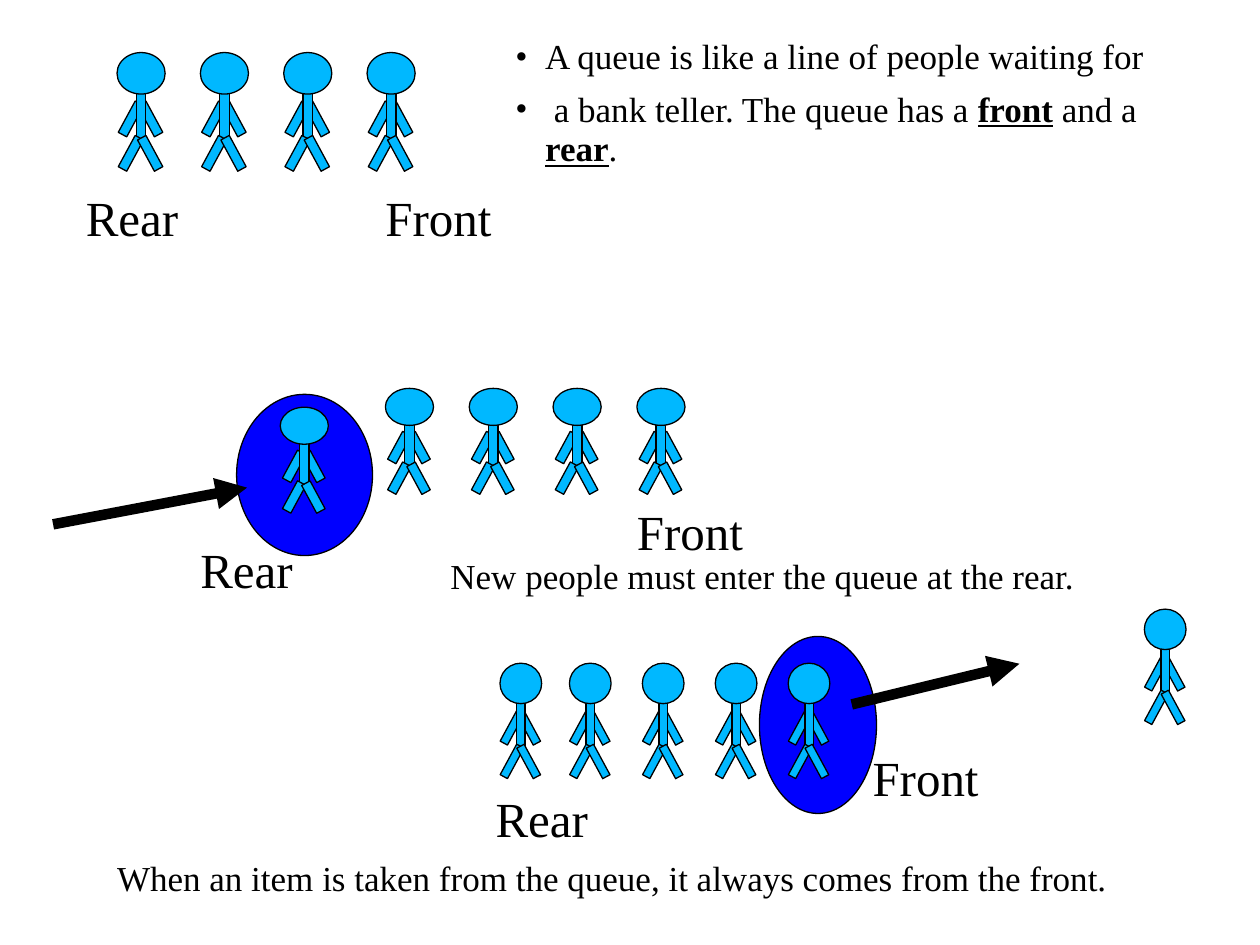
from pptx import Presentation
from pptx.dml.color import RGBColor
from pptx.enum.shapes import MSO_CONNECTOR, MSO_SHAPE
from pptx.oxml.ns import qn
from pptx.util import Cm, Pt
from lxml.etree import SubElement

FONT = "Times New Roman"
COLORS = {"person": "00B8FF", "highlight": "0000FF", "ink": "000000"}

# All lengths are in centimetres.
LABEL_SIZE = (2.7, 1.37)
SCENES = [
    {   # a waiting queue
        "person_size": (0.97, 2.39),
        "people": [(2.36 + 1.68 * i, 1.06) for i in range(4)],
        "labels": [("Front", 7.52, 3.74), ("Rear", 1.48, 3.74)],
    },
    {   # a person joins at the rear
        "highlight": (4.77, 7.95, 2.74, 3.25),
        "person_size": (0.97, 2.13),
        "people": [(7.77 + 1.69 * i, 7.83) for i in range(4)] + [(5.65, 8.21)],
        "arrow": (1.07, 10.57, 4.98, 9.83),
        "labels": [("Front", 12.59, 10.08), ("Rear", 3.79, 10.84)],
    },
    {   # a person leaves from the front
        "highlight": (15.31, 12.83, 2.36, 3.57),
        "person_size": (0.84, 2.33),
        "people": [(10.08, 13.37)] + [(11.48 + 1.47 * i, 13.37) for i in range(4)]
                  + [(23.07, 12.28)],
        "arrow": (17.17, 14.2, 20.55, 13.38),
        "labels": [("Front", 17.34, 15.03), ("Rear", 9.74, 15.86)],
    },
]

# Preset, then left, top, width, height as shares of the person, then rotation.
LEFT_LIMB, RIGHT_LIMB = 28.4, 331.6
BODY_PARTS = [
    (MSO_SHAPE.RECTANGLE, 0.19, 0.41, 0.2, 0.3, LEFT_LIMB),
    (MSO_SHAPE.RECTANGLE, 0.59, 0.41, 0.2, 0.3, RIGHT_LIMB),
    (MSO_SHAPE.RECTANGLE, 0.4, 0.29, 0.2, 0.47, 0),
    (MSO_SHAPE.OVAL, 0, 0, 1, 0.35, 0),
    (MSO_SHAPE.RECTANGLE, 0.19, 0.7, 0.2, 0.3, LEFT_LIMB),
    (MSO_SHAPE.RECTANGLE, 0.59, 0.7, 0.2, 0.3, RIGHT_LIMB),
]

# Each paragraph is a list of (text, emphasised) runs.
BULLETS = [
    [("A queue is like a line of people waiting for", False)],
    [(" a bank teller. The queue has a ", False), ("front", True),
     (" and a ", False), ("rear", True), (".", False)],
]
BULLETS_BOX = (10.14, 0.64, 14.4, 4.01)
CAPTIONS = [
    ("New people must enter the queue at the rear.", (8.83, 11.05, 13.2, 1.12)),
    ("When an item is taken from the queue, it always comes from the front.",
     (2.11, 17.15, 20.55, 1.9)),
]


def color(name):
    return RGBColor.from_string(COLORS[name])


def add_outlined(shapes, preset, box, fill, rotation=0):
    shape = shapes.add_shape(preset, *map(Cm, box))
    shape.rotation = rotation
    shape.shadow.inherit = False
    shape.fill.solid()
    shape.fill.fore_color.rgb = color(fill)
    shape.line.color.rgb = color("ink")
    shape.line.width = Pt(0.75)


def add_person(shapes, left, top, width, height):
    for preset, x, y, w, h, rotation in BODY_PARTS:
        box = (left + x * width, top + y * height, w * width, h * height)
        add_outlined(shapes, preset, box, "person", rotation)


def add_arrow(shapes, ends):
    arrow = shapes.add_connector(MSO_CONNECTOR.STRAIGHT, *map(Cm, ends))
    arrow.line.color.rgb = color("ink")
    arrow.line.width = Pt(6)
    properties = arrow._element.spPr
    SubElement(properties.find(qn("a:ln")), qn("a:tailEnd"), type="triangle")
    SubElement(properties, qn("a:effectLst"))


def style(paragraph, size, line_spacing=1.0):
    paragraph.line_spacing = line_spacing
    paragraph.font.name = FONT
    paragraph.font.size = Pt(size)
    paragraph.font.color.rgb = color("ink")


def add_text(shapes, text, box, size, line_spacing=1.0):
    frame = shapes.add_textbox(*map(Cm, box)).text_frame
    frame.word_wrap = True
    frame.text = text
    style(frame.paragraphs[0], size, line_spacing)


def add_scene(slide, scene):
    shapes = slide.shapes.add_group_shape().shapes
    if "highlight" in scene:
        add_outlined(shapes, MSO_SHAPE.OVAL, scene["highlight"], "highlight")
    for left, top in scene["people"]:
        add_person(shapes, left, top, *scene["person_size"])
    if "arrow" in scene:
        add_arrow(shapes, scene["arrow"])
    for text, left, top in scene["labels"]:
        add_text(shapes, text, (left, top, *LABEL_SIZE), 28, 0.95)


def add_bullets(slide):
    frame = slide.shapes.add_textbox(*map(Cm, BULLETS_BOX)).text_frame
    frame.word_wrap = True
    for index, runs in enumerate(BULLETS):
        paragraph = frame.add_paragraph() if index else frame.paragraphs[0]
        properties = paragraph._p.get_or_add_pPr()
        properties.set("marL", str(Cm(0.6)))
        properties.set("indent", str(Cm(-0.6)))
        SubElement(properties, qn("a:buFont"), typeface=FONT)
        SubElement(properties, qn("a:buChar"), char="•")
        style(paragraph, 20, 0.95)
        if index:
            paragraph.space_before = Pt(7)
        for text, emphasised in runs:
            run = paragraph.add_run()
            run.text = text
            if emphasised:
                run.font.bold = run.font.underline = True


def main():
    presentation = Presentation()
    presentation.slide_width, presentation.slide_height = Cm(25.4), Cm(19.05)
    slide = presentation.slides.add_slide(presentation.slide_layouts[6])
    for scene in SCENES:
        add_scene(slide, scene)
    add_bullets(slide)
    for text, box in CAPTIONS:
        add_text(slide.shapes, text, box, 20)
    presentation.save("out.pptx")


if __name__ == "__main__":
    main()
